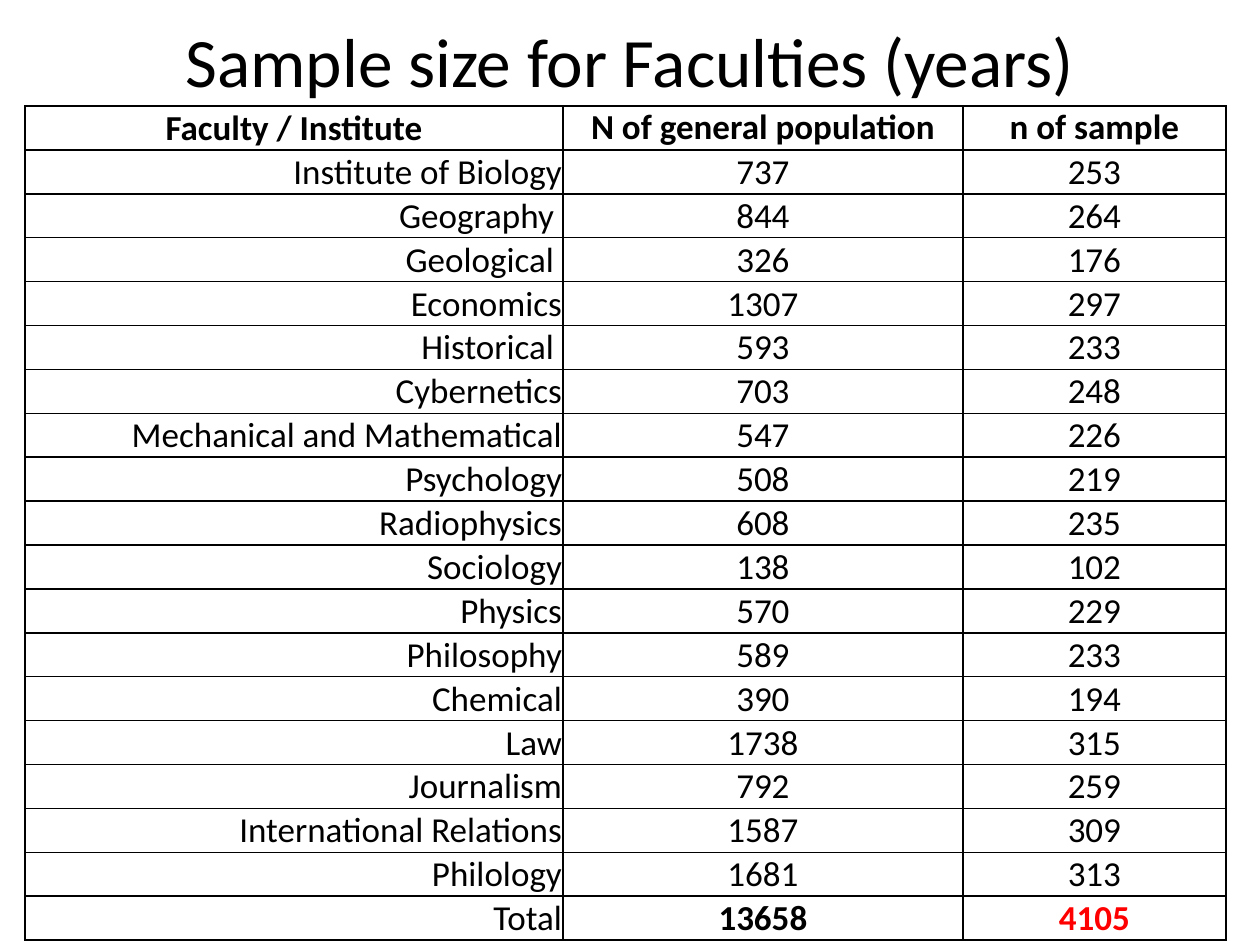
from lxml.etree import SubElement
from pptx import Presentation
from pptx.dml.color import RGBColor
from pptx.enum.text import MSO_ANCHOR as Anchor, MSO_AUTO_SIZE as AutoSize, PP_ALIGN as Align
from pptx.oxml.ns import qn
from pptx.util import Pt

PX = 914400 // 126
FONT = "Calibri"
COLORS = {"text": "000000", "border": "000000", "highlight": "FF0000"}
HEADINGS = ("Faculty / Institute", "N of general population", "n of sample")
FACULTIES = [
    ("Institute of Biology", 737, 253),
    ("Geography ", 844, 264),
    ("Geological ", 326, 176),
    ("Economics", 1307, 297),
    ("Historical ", 593, 233),
    ("Cybernetics", 703, 248),
    ("Mechanical and Mathematical", 547, 226),
    ("Psychology", 508, 219),
    ("Radiophysics", 608, 235),
    ("Sociology", 138, 102),
    ("Physics", 570, 229),
    ("Philosophy", 589, 233),
    ("Chemical", 390, 194),
    ("Law", 1738, 315),
    ("Journalism", 792, 259),
    ("International Relations", 1587, 309),
    ("Philology", 1681, 313),
]
TOTAL = ("Total", 13658, 4105)


def scale(*lengths):
    """Turn pixel lengths into EMU."""
    return [length * PX for length in lengths]


def write(frame, words, size, align, bold=False, color="text"):
    """Put one formatted paragraph into a text frame."""
    frame.text = str(words)
    paragraph = frame.paragraphs[0]
    paragraph.alignment = align
    font = paragraph.runs[0].font
    font.name, font.size, font.bold = FONT, Pt(size), bold
    font.color.rgb = RGBColor.from_string(COLORS[color])


def add_borders(cell):
    """Draw a thin solid line on all four sides of a cell."""
    properties = cell._tc.get_or_add_tcPr()
    for position, side in enumerate(("a:lnL", "a:lnR", "a:lnT", "a:lnB")):
        line = SubElement(properties, qn(side), w=str(Pt(1)))
        properties.insert(position, line)
        fill = SubElement(line, qn("a:solidFill"))
        SubElement(fill, qn("a:srgbClr"), val=COLORS["border"])


def place_title(slide, box):
    """Place the slide heading in the title placeholder."""
    title = slide.shapes.title
    title.left, title.top, title.width, title.height = scale(*box)
    frame = title.text_frame
    write(frame, "Sample size for Faculties (years)", 39.6, Align.CENTER)
    frame.auto_size = AutoSize.NONE
    frame.vertical_anchor = Anchor.MIDDLE


def place_samples(slide, box):
    """Place the table of faculty populations and sample sizes."""
    rows = [HEADINGS, *FACULTIES, TOTAL]
    samples = slide.shapes.add_table(len(rows), len(HEADINGS), *scale(*box)).table
    samples.first_row = samples.horz_banding = False
    name_width, population_width = 538, 400
    widths = (name_width, population_width, box[2] - name_width - population_width)
    for column, width in zip(samples.columns, scale(*widths)):
        column.width = width
    for r, row in enumerate(rows):
        heading, total = row is HEADINGS, row is TOTAL
        for c, words in enumerate(row):
            cell = samples.cell(r, c)
            named = c == 0
            side, top = scale(1, 1) if named else scale(9, 0)
            cell.margin_left = cell.margin_right = side
            cell.margin_top, cell.margin_bottom = top, 0
            cell.vertical_anchor = Anchor.MIDDLE if named or heading else Anchor.BOTTOM
            cell.fill.background()
            add_borders(cell)
            write(
                cell.text_frame, words, 20,
                Align.RIGHT if named and not heading else Align.CENTER,
                bold=heading or (total and not named),
                color="highlight" if total and c == 2 else "text",
            )


def build():
    """Build and save the slide."""
    deck = Presentation()
    deck.slide_width, deck.slide_height = scale(1260, 945)
    slide = deck.slides.add_slide(deck.slide_layouts[5])
    place_title(slide, (63, 16, 1134, 87))
    place_samples(slide, (25, 106, 1201, 823))
    deck.save("out.pptx")


build()
